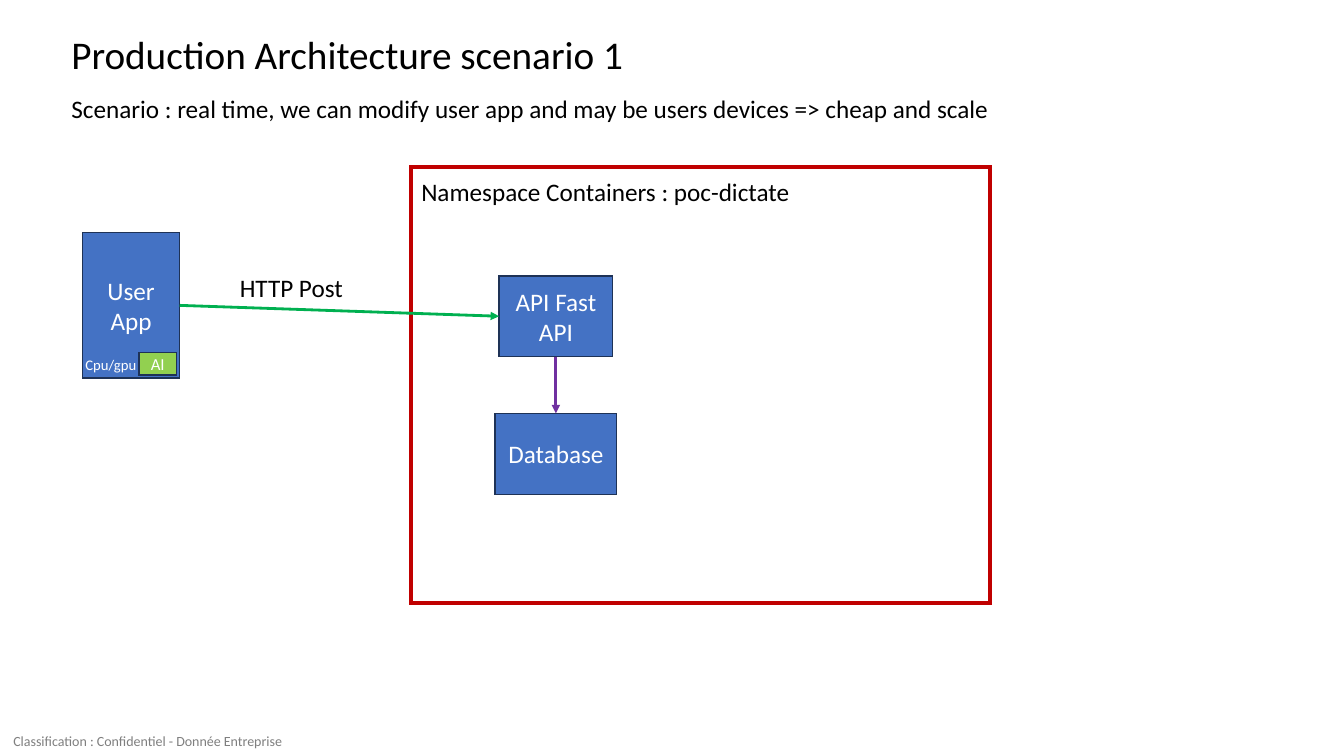
from lxml import etree
from pptx import Presentation
from pptx.dml.color import RGBColor
from pptx.enum import shapes, text
from pptx.oxml import ns
from pptx.util import Pt

BLUE, NAVY, WHITE, BLACK = "4472C4", "1E3256", "FFFFFF", "000000"
TOP, LEFT, BOTTOM, RIGHT = range(4)


def rgb(value):
    return RGBColor.from_string(value)


def write(shape, content, size=18, color=BLACK, align=text.PP_ALIGN.LEFT,
          anchor=text.MSO_ANCHOR.TOP, wrap=True):
    frame = shape.text_frame
    frame.word_wrap = wrap
    frame.vertical_anchor = anchor
    paragraph = frame.paragraphs[0]
    paragraph.alignment = align
    run = paragraph.add_run()
    run.text = content
    run.font.name = "Calibri"
    run.font.size = Pt(size)
    run.font.color.rgb = rgb(color)


def add_label(slide, content, left, top, width, height, **formatting):
    label = slide.shapes.add_textbox(Pt(left), Pt(top), Pt(width), Pt(height))
    write(label, content, **formatting)
    return label


def add_box(slide, left, top, width, height, fill=BLUE, line=NAVY, weight=1):
    """Add a rectangle with sharp outline corners."""
    box = slide.shapes.add_shape(shapes.MSO_SHAPE.RECTANGLE,
                                 Pt(left), Pt(top), Pt(width), Pt(height))
    box.shadow.inherit = False
    if fill:
        box.fill.solid()
        box.fill.fore_color.rgb = rgb(fill)
    else:
        box.fill.background()
    box.line.color.rgb = rgb(line)
    box.line.width = Pt(weight)
    etree.SubElement(box.line._get_or_add_ln(), ns.qn("a:miter"), lim="800000")
    return box


def add_node(slide, content, left, top, width, height, size=18, fill=BLUE):
    """Add a filled box with centred white text."""
    node = add_box(slide, left, top, width, height, fill=fill)
    write(node, content, size=size, color=WHITE,
          align=text.PP_ALIGN.CENTER, anchor=text.MSO_ANCHOR.MIDDLE)
    return node


def add_arrow(slide, start, start_side, end, end_side, color):
    arrow = slide.shapes.add_connector(shapes.MSO_CONNECTOR.STRAIGHT, 0, 0, 0, 0)
    arrow.begin_connect(start, start_side)
    arrow.end_connect(end, end_side)
    arrow.line.color.rgb = rgb(color)
    arrow.line.width = Pt(2)
    line = arrow.line._get_or_add_ln()
    etree.SubElement(line, ns.qn("a:tailEnd"), type="triangle")
    etree.SubElement(arrow._element.spPr, ns.qn("a:effectLst"))


def add_heading(slide, left, top, width):
    add_label(slide, "Production Architecture scenario 1",
              left, top, 413.3, 41, size=28, wrap=False)
    add_label(slide, "Scenario : real time, we can modify user app and may be "
              "users devices => cheap and scale", left, top + 45, width, 29)


def add_namespace(slide, left, top, width, height):
    """Draw the cluster frame and return its API node."""
    center = left + 103.3
    node_height = 57.8
    api_width, database_width = 81.2, 87
    api = add_node(slide, "API Fast API", center - api_width / 2, top + 77.5,
                   api_width, node_height)
    database = add_node(slide, "Database", center - database_width / 2,
                        top + 175.8, database_width, node_height)
    add_box(slide, left, top, width, height, fill=None, line="C00000", weight=3)
    add_label(slide, "Namespace Containers : poc-dictate",
              left, top + 3, 293.8, 29, wrap=False)
    add_arrow(slide, api, BOTTOM, database, TOP, "7030A0")
    return api


def add_user_app(slide, left, top, width, height):
    """Draw the user's device and return its box."""
    user_app = add_node(slide, "User App", left, top, width, height)
    bottom = top + height
    add_node(slide, "AI", left + width - 29, bottom - 18, 26.6, 16,
             size=12, fill="92D050")
    add_label(slide, "Cpu/gpu", left - 5, bottom - 19.5, 53.3, 20.9,
              size=10.5, color=WHITE, wrap=False)
    return user_app


def add_footer(slide, left, top, width, height):
    footer = add_label(slide, "Classification : Confidentiel - Donnée Entreprise",
                       left, top, width, height, size=10, color="7F7F7F")
    frame = footer.text_frame
    frame.margin_left = Pt(4.5)
    frame.margin_top = frame.margin_right = frame.margin_bottom = 0


def main():
    presentation = Presentation()
    presentation.slide_width, presentation.slide_height = Pt(960), Pt(540)
    slide = presentation.slides.add_slide(presentation.slide_layouts[6])
    add_footer(slide, 5, 523.2, 201.6, 12.2)
    add_heading(slide, 43.9, 18, 768.2)
    api = add_namespace(slide, 293.8, 119.5, 413.3, 311)
    user_app = add_user_app(slide, 59, 166.3, 69.4, 103.7)
    add_arrow(slide, user_app, RIGHT, api, LEFT, "00B050")
    add_label(slide, "HTTP Post", 164.2, 191.2, 88.6, 29, wrap=False)
    presentation.save("out.pptx")


if __name__ == "__main__":
    main()
